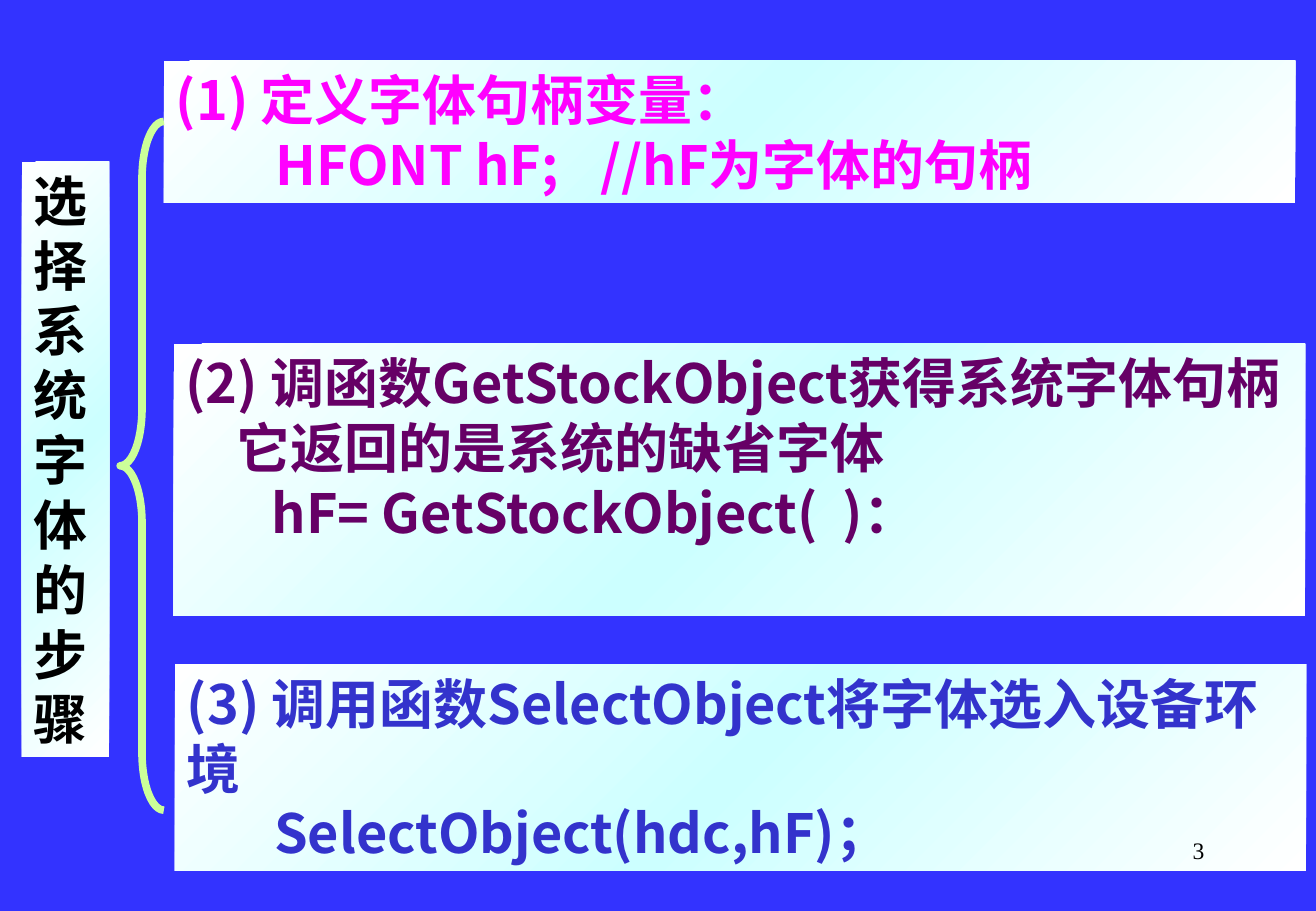
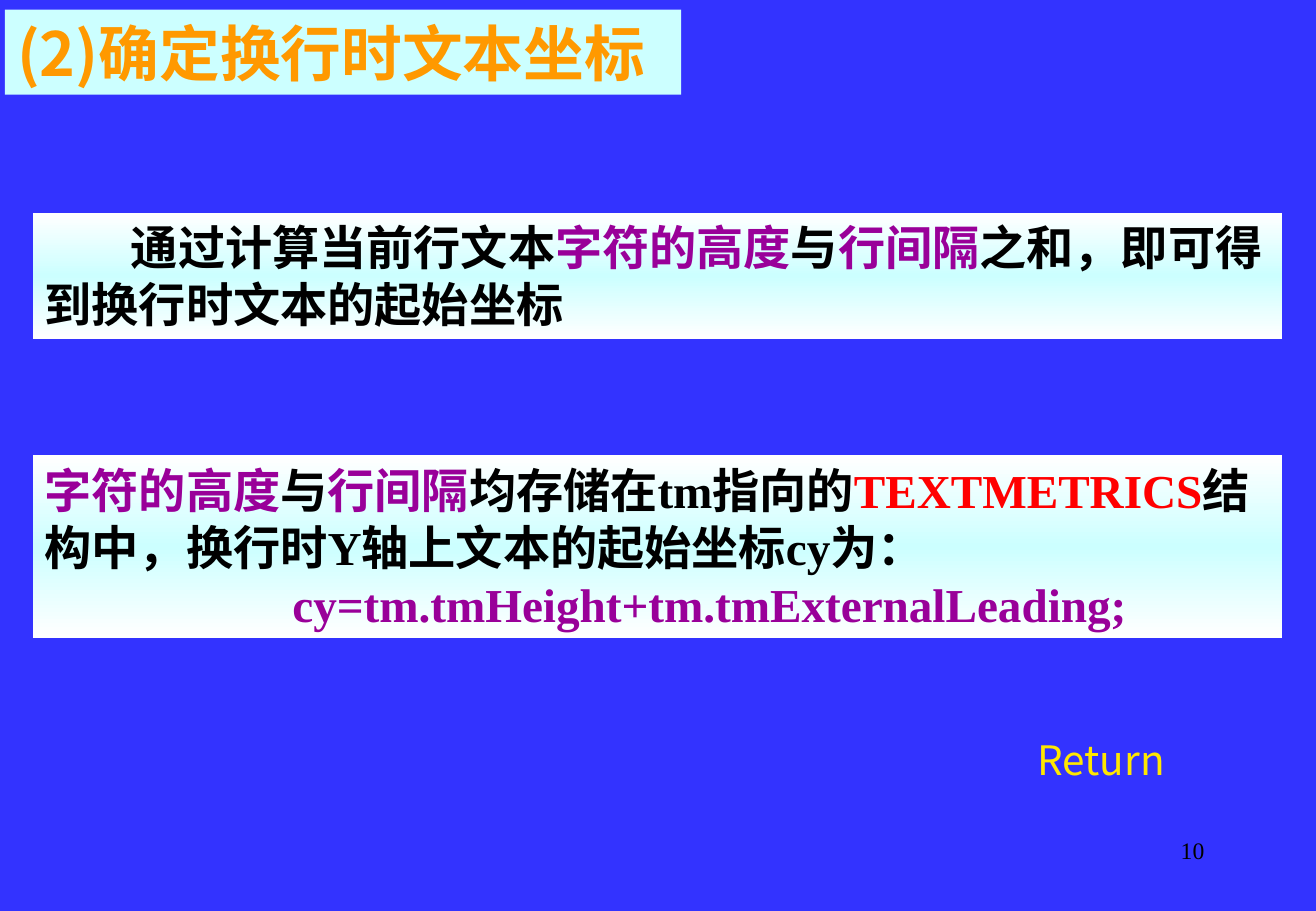
from copy import deepcopy

from pptx import Presentation
from pptx.dml.color import RGBColor
from pptx.enum import shapes, text
from pptx.oxml import ns
from pptx.util import Inches, Pt
from lxml import etree

COLORS = {
    "background": "3333FF", "white": "FFFFFF", "aqua": "CCFFFF",
    "black": "000000", "magenta": "FF00FF", "plum": "660066",
    "blue": "3333CC", "purple": "990099", "red": "FF0000",
    "orange": "FF9900", "lime": "CCFF99",
    "yellow": "FFE701", "flame": "FE3E02",
}
RGB = {name: RGBColor.from_string(value) for name, value in COLORS.items()}
SANS, SERIF = "Noto Sans CJK SC", "Times New Roman"
DIAGONAL, VERTICAL = 315, 270


def write(box, paragraphs, size, font, bold=True, wrap=True):
    """Fill a box with paragraphs given as (first-line indent, [(text, colour)])."""
    frame = box.text_frame
    frame.word_wrap = wrap
    frame.auto_size = text.MSO_AUTO_SIZE.NONE
    frame.vertical_anchor = text.MSO_ANCHOR.TOP
    for i, (indent, pieces) in enumerate(paragraphs):
        paragraph = frame.add_paragraph() if i else frame.paragraphs[0]
        paragraph.alignment = text.PP_ALIGN.LEFT
        paragraph._p.get_or_add_pPr().set("indent", str(Inches(indent)))
        for words, color in pieces:
            run = paragraph.add_run()
            run.text = words
            run.font.size, run.font.bold, run.font.name = Pt(size), bold, font
            run.font.color.rgb = RGB[color]
            east_asian = etree.SubElement(run._r.get_or_add_rPr(), ns.qn("a:ea"))
            east_asian.set("typeface", SANS)


def shade(box, angle):
    """Give a box the white - aqua - white gradient."""
    box.fill.gradient()
    box.fill.gradient_angle = angle
    stop_list = box._element.spPr.find(ns.qn("a:gradFill")).find(ns.qn("a:gsLst"))
    stop_list.append(deepcopy(stop_list[0]))
    for stop, position, color in zip(box.fill.gradient_stops, (0, 0.5, 1),
                                     ("white", "aqua", "white")):
        stop.position = position
        stop.color.rgb = RGB[color]


# Presentation and shared background
prs = Presentation()
prs.slide_width, prs.slide_height = Inches(10.84), Inches(7.5)
background = prs.slide_master.background.fill
background.solid()
background.fore_color.rgb = RGB["background"]
title_only = prs.slide_layouts[5]
steps_slide = prs.slides.add_slide(title_only)
coordinates_slide = prs.slides.add_slide(title_only)

# Steps: upright title
heading = steps_slide.shapes.title
heading.left, heading.top = Inches(0.18), Inches(1.33)
heading.width, heading.height = Inches(0.72), Inches(4.9)
shade(heading, DIAGONAL)
write(heading, [(0, [("选择系统字体的步骤", "black")])], 32, SERIF)

# Steps: three boxes
steps = [
    (1.35, 0.5, 1.17, "magenta", [
        (0, "(1) 定义字体句柄变量："),
        (0.82, "HFONT hF;\t//hF为字体的句柄")]),
    (1.43, 2.83, 2.24, "plum", [
        (0, "(2) 调函数GetStockObject获得系统字体句柄"),
        (0.42, "它返回的是系统的缺省字体"),
        (0.71, "hF= GetStockObject(  )：")]),
    (1.44, 5.47, 1.7, "blue", [
        (0, "(3) 调用函数SelectObject将字体选入设备环境"),
        (0.72, "SelectObject(hdc,hF)；")]),
]
for left, top, height, color, lines in steps:
    step = steps_slide.shapes.add_textbox(
        Inches(left), Inches(top), Inches(9.32), Inches(height))
    shade(step, DIAGONAL)
    write(step, [(indent, [(line, color)]) for indent, line in lines], 32, SANS)
    for paragraph in step.text_frame.paragraphs:
        if "\t" in paragraph.text:
            tabs = etree.SubElement(paragraph._p.get_or_add_pPr(), ns.qn("a:tabLst"))
            etree.SubElement(tabs, ns.qn("a:tab"), pos=str(Inches(3.56)), algn="l")

# Steps: brace
brace = steps_slide.shapes.add_shape(
    shapes.MSO_SHAPE.LEFT_BRACE, Inches(0.99), Inches(1), Inches(0.36), Inches(5.67))
brace.adjustments[0] = 1.31
brace.shadow.inherit = False
brace.fill.background()
brace.line.color.rgb = RGB["lime"]
brace.line.width = Pt(4.5)

# Coordinates: title
heading = coordinates_slide.shapes.title
heading.left, heading.top = Inches(0.04), Inches(0.08)
heading.width, heading.height = Inches(5.57), Inches(0.7)
heading.fill.solid()
heading.fill.fore_color.rgb = RGB["aqua"]
write(heading, [(0, [("(2)确定换行时文本坐标", "orange")])], 36, SANS, wrap=False)

# Coordinates: explanation and formula
terms = [("字符的高度", "purple"), ("与", "black"), ("行间隔", "purple")]
explanations = [
    (1.75, 1.04, [
        (0.71, [("通过计算当前行文本", "black"), *terms,
                ("之和，即可得到换行时文本的起始坐标", "black")])]),
    (3.75, 1.5, [
        (0, [*terms, ("均存储在tm指向的", "black"), ("TEXTMETRICS", "red"),
             ("结构中，换行时Y轴上文本的起始坐标cy为：", "black")]),
        (2.04, [("cy=tm.tmHeight+tm.tmExternalLeading;", "purple")])]),
]
for top, height, paragraphs in explanations:
    explanation = coordinates_slide.shapes.add_textbox(
        Inches(0.27), Inches(top), Inches(10.29), Inches(height))
    shade(explanation, VERTICAL)
    write(explanation, paragraphs, 28, SERIF)

# Coordinates: return label
return_label = coordinates_slide.shapes.add_textbox(
    Inches(7.76), Inches(6), Inches(2.62), Inches(1.18))
write(return_label, [(0, [("Return", "yellow")])], 24, SANS, bold=False)
label_line = return_label.text_frame.paragraphs[0]
label_line.alignment = text.PP_ALIGN.CENTER
label_fill = label_line.runs[0].font.fill
label_fill.gradient()
label_fill.gradient_angle = VERTICAL
for stop, color in zip(label_fill.gradient_stops, ("yellow", "flame")):
    stop.color.rgb = RGB[color]

# Page numbers
for slide, number in ((steps_slide, "3"), (coordinates_slide, "10")):
    page = slide.shapes.add_textbox(
        Inches(7.76), Inches(6.83), Inches(2.26), Inches(0.5))
    write(page, [(0, [(number, "black")])], 14, SERIF, bold=False)
    page.text_frame.paragraphs[0].alignment = text.PP_ALIGN.RIGHT

prs.save("out.pptx")
